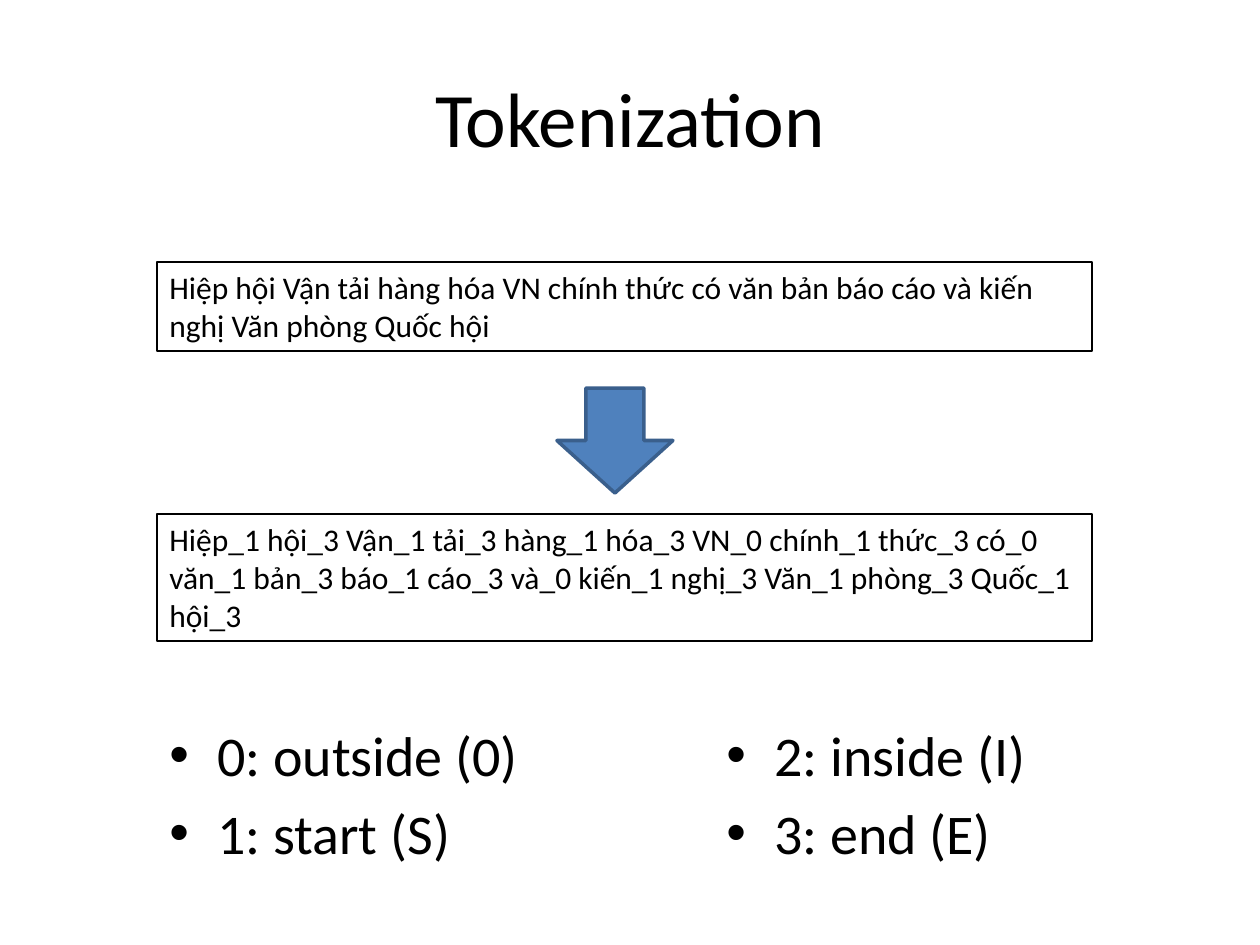
from dataclasses import dataclass

from lxml import etree
from pptx import Presentation
from pptx import util as u
from pptx.dml.color import RGBColor
from pptx.enum import shapes, text
from pptx.oxml.ns import qn

PIXEL = u.Inches(1) / 126


@dataclass(frozen=True)
class Theme:
    font: str = "Calibri"
    ink: str = "000000"
    arrow: str = "4F81BD"
    arrow_edge: str = "3A5F8C"
    title_size: int = 44
    sentence_size: int = 18
    label_size: int = 32


THEME = Theme()

SENTENCE = ("Hiệp hội Vận tải hàng hóa VN chính thức có văn bản báo cáo "
            "và kiến nghị Văn phòng Quốc hội")
TAGS = "1 3 1 3 1 3 0 1 3 0 1 3 1 3 0 1 3 1 3 1 3".split()
TAGGED = " ".join(f"{word}_{tag}" for word, tag in zip(SENTENCE.split(), TAGS))


def px(*lengths):
    return [round(length * PIXEL) for length in lengths]


def apply(target, values):
    for name, value in values.items():
        setattr(target, name, value)


def write(box, lines, size, frame_format=None, para_format=None):
    """Fill a shape with one paragraph per line and return the paragraphs."""
    frame = box.text_frame
    apply(frame, {"word_wrap": True, **(frame_format or {})})
    frame.text = "\n".join(lines)
    for para in frame.paragraphs:
        apply(para, para_format or {})
        for span in para.runs:
            apply(span.font, {"name": THEME.font, "size": u.Pt(size)})
            span.font.color.rgb = RGBColor.from_string(THEME.ink)
    return frame.paragraphs


def outline(shape, color, width):
    shape.line.color.rgb = RGBColor.from_string(color)
    shape.line.width = u.Pt(width)


def add_title(page, words, area):
    title = page.shapes.title
    apply(title, dict(zip(("left", "top", "width", "height"), px(*area))))
    write(title, [words], THEME.title_size,
          {"vertical_anchor": text.MSO_ANCHOR.MIDDLE},
          {"alignment": text.PP_ALIGN.CENTER})


def add_sentence(page, words, top, height):
    box = page.shapes.add_textbox(*px(157, top, 935, height))
    outline(box, THEME.ink, 0.75)
    write(box, [words], THEME.sentence_size,
          {"auto_size": text.MSO_AUTO_SIZE.SHAPE_TO_FIT_TEXT})


def add_arrow(page, area):
    arrow = page.shapes.add_shape(shapes.MSO_SHAPE.DOWN_ARROW, *px(*area))
    arrow.shadow.inherit = False
    arrow.fill.solid()
    arrow.fill.fore_color.rgb = RGBColor.from_string(THEME.arrow)
    outline(arrow, THEME.arrow_edge, 2)


def add_bullets(page, lines, area):
    box = page.shapes.add_textbox(*px(*area))
    indent = u.Inches(0.38)
    paras = write(box, lines, THEME.label_size,
                  para_format={"space_before": u.Pt(THEME.label_size * 0.2)})
    for para in paras:
        props = para._p.get_or_add_pPr()
        props.set("marL", str(indent))
        props.set("indent", str(-indent))
        etree.SubElement(props, qn("a:buFont")).set("typeface", "Arial")
        etree.SubElement(props, qn("a:buChar")).set("char", "•")


def main():
    deck = Presentation()
    apply(deck, {"slide_width": u.Inches(10), "slide_height": u.Inches(7.5)})
    page = deck.slides.add_slide(deck.slide_layouts[5])

    add_title(page, "Tokenization", (63, 38, 1134, 157))

    # Plain sentence, then its tagged form
    add_sentence(page, SENTENCE, 262, 89)
    add_arrow(page, (557, 388, 116, 105))
    add_sentence(page, TAGGED, 514, 127)

    # Meaning of the tags
    add_bullets(page, ["0: outside (0)", "1: start (S)"], (157, 714, 494, 199))
    add_bullets(page, ["2: inside (I)", "3: end (E)"], (714, 714, 399, 199))

    deck.save("out.pptx")


main()
